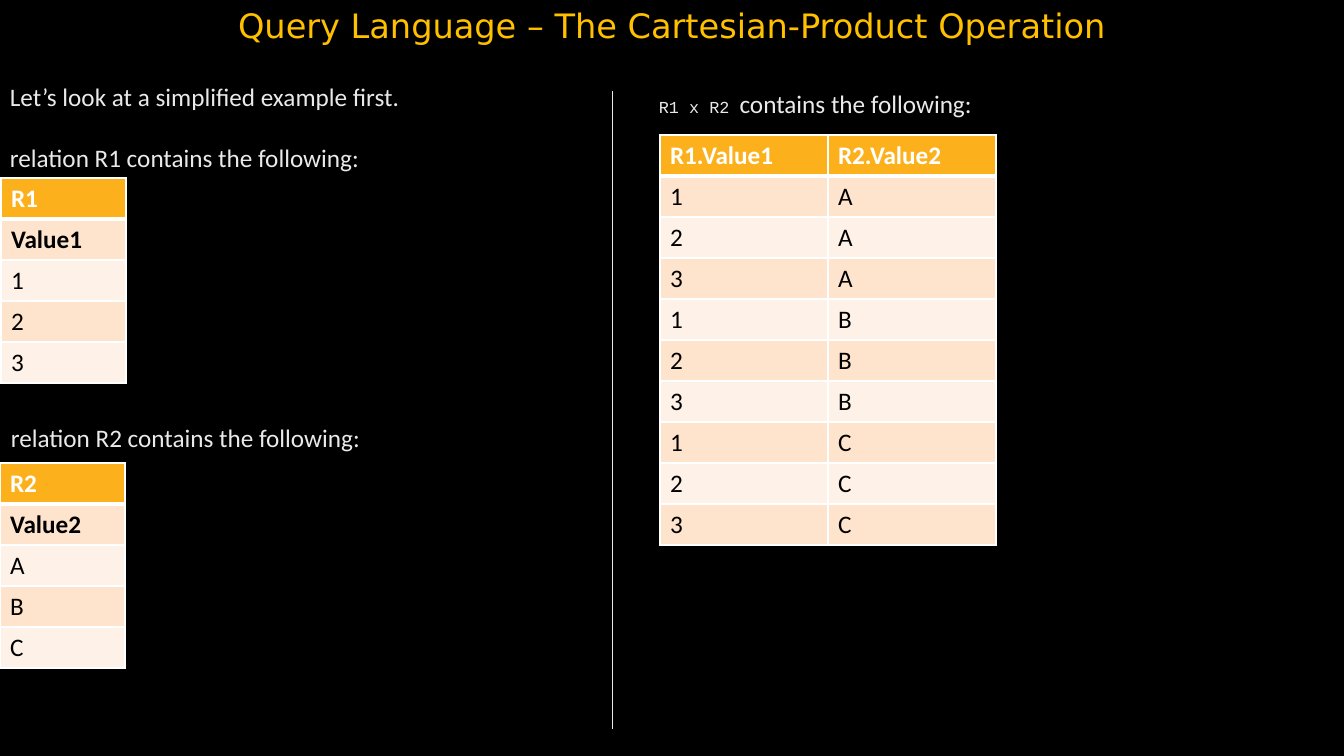
import itertools

import pptx
import pptx.dml.color
import pptx.enum.shapes
import pptx.enum.text
import pptx.oxml
import pptx.oxml.ns
import pptx.util

PX = 12192000 / 1344  # EMU in one px
ROW_HEIGHT = 41


class Theme:
    background = "000000"
    title = "FFC000"
    text = "EAEAEA"
    header = "FCB11C"
    bands = ("FEE4CD", "FEF2E8")
    border = "FFFFFF"
    cell_text = "000000"
    title_font = {"name": "DejaVu Sans", "size": pptx.util.Pt(24)}
    body_font = {"name": "Calibri", "size": pptx.util.Pt(18)}
    code_font = {"name": "Courier New", "size": pptx.util.Pt(12)}


def px(*lengths):
    return [pptx.util.Emu(round(length * PX)) for length in lengths]


def rgb(color):
    return pptx.dml.color.RGBColor.from_string(color)


def apply(target, **formats):
    for attribute, value in formats.items():
        setattr(target, attribute, value)


def add_run(paragraph, text, font, color, bold=False):
    run = paragraph.add_run()
    run.text = text
    apply(run.font, bold=bold, **font)
    run.font.color.rgb = rgb(color)


def add_text(slide, box, paragraphs, color=Theme.text, frame_format=None, **paragraph_format):
    """Each paragraph is a list of (text, font) runs."""
    frame = slide.shapes.add_textbox(*px(*box)).text_frame
    apply(frame, word_wrap=True, **(frame_format or {}))
    for index, runs in enumerate(paragraphs):
        paragraph = frame.add_paragraph() if index else frame.paragraphs[0]
        apply(paragraph, **paragraph_format)
        if index:
            paragraph.space_before = pptx.util.Pt(22)
        for text, font in runs:
            add_run(paragraph, text, font, color)


def add_divider(slide, x, top, bottom):
    divider = slide.shapes.add_connector(
        pptx.enum.shapes.MSO_CONNECTOR.STRAIGHT, *px(x, top, x, bottom))
    divider.line.color.rgb = rgb(Theme.text)
    divider.line.width = pptx.util.Pt(0.75)
    divider._element.spPr.append(pptx.oxml.parse_xml(
        "<a:effectLst %s/>" % pptx.oxml.ns.nsdecls("a")))


def set_borders(cell, widths):
    properties = cell._tc.get_or_add_tcPr()
    for side, points in widths.items():
        properties.append(pptx.oxml.parse_xml(
            '<a:ln%s %s w="%d"><a:solidFill><a:srgbClr val="%s"/></a:solidFill></a:ln%s>'
            % (side, pptx.oxml.ns.nsdecls("a"), pptx.util.Pt(points), Theme.border, side)))


def add_relation(slide, left, top, column_width, rows, bold_rows):
    """The first row is the header; the others alternate in colour."""
    column_count = len(rows[0])
    table = slide.shapes.add_table(
        len(rows), column_count,
        *px(left, top, column_width * column_count, ROW_HEIGHT * len(rows))).table
    table.horz_banding = False
    for row, values in enumerate(rows):
        is_header = row == 0
        fill = Theme.header if is_header else Theme.bands[(row - 1) % 2]
        color = Theme.border if is_header else Theme.cell_text
        for column, value in enumerate(values):
            cell = table.cell(row, column)
            set_borders(cell, {"L": 1, "R": 1, "T": 3 if row == 1 else 1,
                               "B": 3 if is_header else 1})
            cell.fill.solid()
            cell.fill.fore_color.rgb = rgb(fill)
            add_run(cell.text_frame.paragraphs[0], value, Theme.body_font, color,
                    bold=row < bold_rows)


def main():
    presentation = pptx.Presentation()
    presentation.slide_width, presentation.slide_height = px(1344, 756)
    slide = presentation.slides.add_slide(presentation.slide_layouts[6])
    slide.background.fill.solid()
    slide.background.fill.fore_color.rgb = rgb(Theme.background)

    # Title
    add_text(slide, (0, 0, 1344, 50),
             [[("Query Language – The Cartesian-Product Operation", Theme.title_font)]],
             color=Theme.title,
             frame_format={"vertical_anchor": pptx.enum.text.MSO_ANCHOR.BOTTOM},
             alignment=pptx.enum.text.PP_ALIGN.CENTER)

    # Captions
    add_text(slide, (0, 76, 1344, 123),
             [[("Let’s look at a simplified example first.", Theme.body_font)],
              [("relation R1 contains the following:", Theme.body_font)]])
    add_text(slide, (1, 417, 1008, 41),
             [[("relation R2 contains the following:", Theme.body_font)]])
    add_divider(slide, 613, 91, 729)
    add_text(slide, (649, 83, 503, 41),
             [[("R1 x R2 ", Theme.code_font),
               ("contains the following:", Theme.body_font)]])

    # Source relations and their product
    numbers, letters = "123", "ABC"
    product = [(number, letter) for letter, number in itertools.product(letters, numbers)]
    add_relation(slide, 1, 178, 125, [("R1",), ("Value1",), *zip(numbers)], bold_rows=2)
    add_relation(slide, 0, 463, 125, [("R2",), ("Value2",), *zip(letters)], bold_rows=2)
    add_relation(slide, 660, 135, 168, [("R1.Value1", "R2.Value2"), *product], bold_rows=1)

    presentation.save("out.pptx")


if __name__ == "__main__":
    main()
